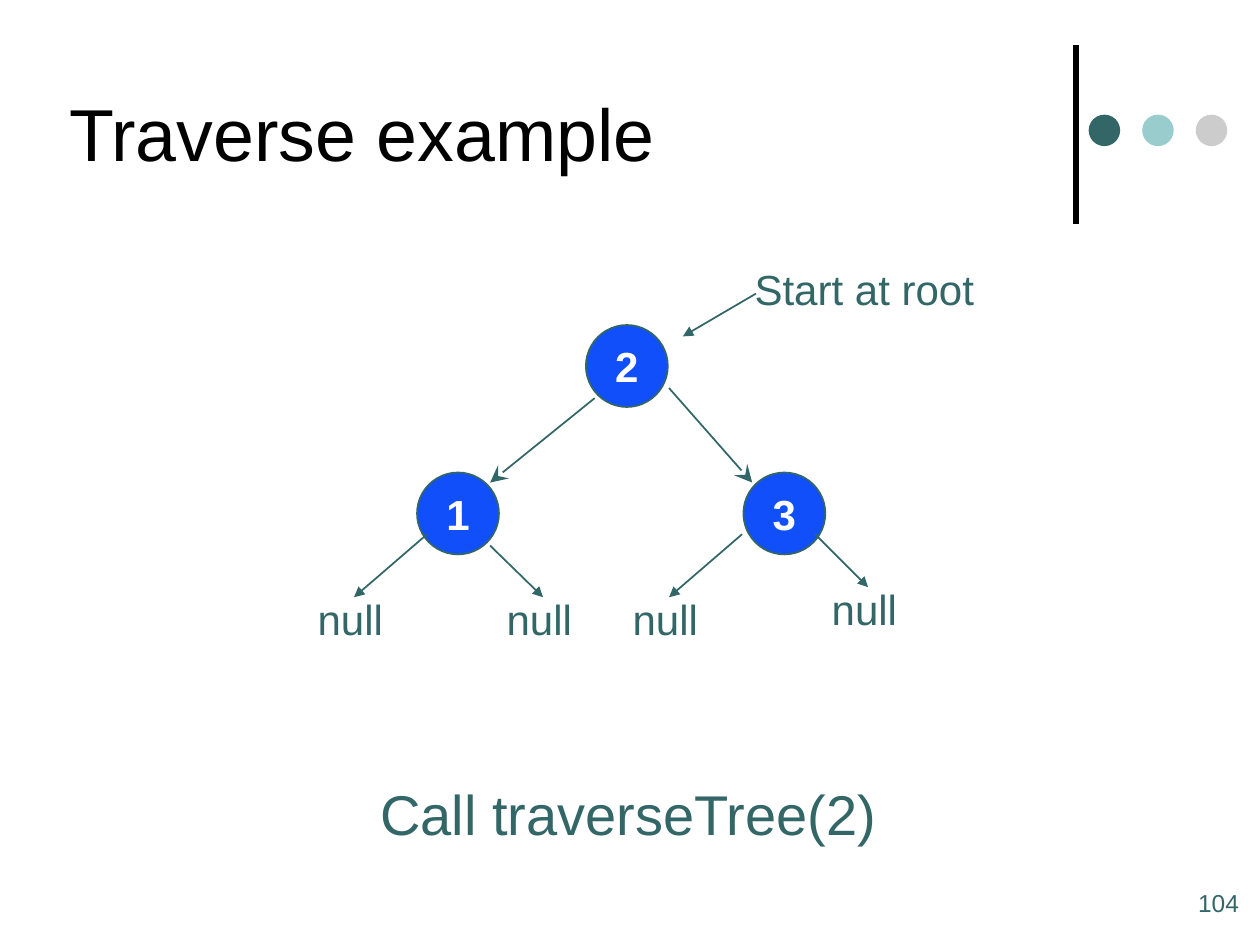
from typing import NamedTuple

from lxml.etree import SubElement
from pptx import Presentation
from pptx.dml.color import RGBColor
from pptx.enum.shapes import MSO_CONNECTOR, MSO_SHAPE
from pptx.enum.text import MSO_ANCHOR as Anchor, PP_ALIGN as Align
from pptx.oxml.ns import qn
from pptx.util import Inches, Pt


class Theme:
    font = "Arial"
    black = RGBColor(0x00, 0x00, 0x00)
    white = RGBColor(0xFF, 0xFF, 0xFF)
    teal = RGBColor(0x33, 0x66, 0x66)
    aqua = RGBColor(0x99, 0xCC, 0xCC)
    grey = RGBColor(0xCC, 0xCC, 0xCC)
    blue = RGBColor(0x11, 0x4F, 0xFB)
    title_size = 42
    call_size = 32
    label_size = 24
    number_size = 14


class Node(NamedTuple):
    key: str
    left: float
    top: float


class Arrow(NamedTuple):
    start: tuple[float, float]
    end: tuple[float, float]
    head: str = "triangle"
    head_size: str = "med"


class Label(NamedTuple):
    text: str
    left: float
    top: float
    width: float
    height: float = 0.5
    size: int = Theme.label_size
    color: RGBColor = Theme.teal
    align: Align = Align.CENTER
    anchor: Anchor = Anchor.TOP
    wrap: bool = False


NODE_SIZE = 0.65
DOT_SIZE = 0.25
DOT_STEP = 0.425
NODES = [Node("2", 4.65, 2.58), Node("1", 3.31, 3.75), Node("3", 5.9, 3.75)]
ARROWS = [
    Arrow((4.72, 3.16), (3.89, 3.83), "stealth", "lg"),
    Arrow((5.31, 3.08), (5.97, 3.83), "stealth", "lg"),
    Arrow((3.39, 4.24), (2.81, 4.74)),
    Arrow((3.89, 4.33), (4.31, 4.74)),
    Arrow((5.89, 4.24), (5.31, 4.74)),
    Arrow((6.47, 4.24), (6.89, 4.66)),
    Arrow((6, 2.33), (5.42, 2.67)),
]
NULL_POSITIONS = [(2.42, 4.66), (3.92, 4.66), (4.92, 4.66), (6.5, 4.58)]
LABELS = [
    Label("Traverse example", 0.45, 0.21, 7.67, 1.67, Theme.title_size,
          Theme.black, Align.LEFT, Anchor.MIDDLE, True),
    Label("Start at root", 5.89, 2.04, 1.94),
    *(Label("null", left, top, 0.72) for left, top in NULL_POSITIONS),
    Label("Call traverseTree(2)", 2.92, 6.14, 4.17, 0.64, Theme.call_size, align=Align.LEFT),
    Label("104", 9.41, 7, 0.59, size=Theme.number_size, align=Align.LEFT, wrap=True),
]


def write_text(shape, text: str, *, size: int, color: RGBColor, bold: bool = False,
               align: Align = Align.CENTER, anchor: Anchor = Anchor.MIDDLE,
               wrap: bool = False) -> None:
    frame = shape.text_frame
    frame.word_wrap = wrap
    frame.vertical_anchor = anchor
    paragraph = frame.paragraphs[0]
    paragraph.alignment = align
    run = paragraph.add_run()
    run.text = text
    run.font.name = Theme.font
    run.font.size = Pt(size)
    run.font.bold = bold
    run.font.color.rgb = color


def add_label(slide, label: Label) -> None:
    box = slide.shapes.add_textbox(Inches(label.left), Inches(label.top),
                                   Inches(label.width), Inches(label.height))
    write_text(box, label.text, size=label.size, color=label.color,
               align=label.align, anchor=label.anchor, wrap=label.wrap)


def add_circle(slide, left: float, top: float, size: float, fill: RGBColor):
    circle = slide.shapes.add_shape(MSO_SHAPE.OVAL, Inches(left), Inches(top),
                                    Inches(size), Inches(size))
    circle.shadow.inherit = False
    circle.fill.solid()
    circle.fill.fore_color.rgb = fill
    circle.line.fill.background()
    return circle


def add_node(slide, node: Node) -> None:
    circle = add_circle(slide, node.left, node.top, NODE_SIZE, Theme.blue)
    circle.line.color.rgb = Theme.teal
    circle.line.width = Pt(1)
    write_text(circle, node.key, size=Theme.label_size, color=Theme.white, bold=True)


def add_line(slide, start: tuple[float, float], end: tuple[float, float],
             color: RGBColor, width: float):
    line = slide.shapes.add_connector(MSO_CONNECTOR.STRAIGHT,
                                      *map(Inches, (*start, *end)))
    line.line.color.rgb = color
    line.line.width = Pt(width)
    SubElement(line._element.spPr, qn("a:effectLst"))
    return line


def add_arrow(slide, arrow: Arrow) -> None:
    line = add_line(slide, arrow.start, arrow.end, Theme.teal, 1)
    SubElement(line.line._get_or_add_ln(), qn("a:tailEnd"), type=arrow.head,
               w=arrow.head_size, len=arrow.head_size)


def add_corner_decoration(slide) -> None:
    add_line(slide, (8.54, 1.78), (8.54, 0.36), Theme.black, 3)
    for index, color in enumerate((Theme.teal, Theme.aqua, Theme.grey)):
        add_circle(slide, 8.64 + index * DOT_STEP, 0.91, DOT_SIZE, color)


def main() -> None:
    presentation = Presentation()
    presentation.slide_width = Inches(10)
    presentation.slide_height = Inches(7.5)
    slide = presentation.slides.add_slide(presentation.slide_layouts[6])
    add_corner_decoration(slide)
    for node in NODES:
        add_node(slide, node)
    for arrow in ARROWS:
        add_arrow(slide, arrow)
    for label in LABELS:
        add_label(slide, label)
    presentation.save("out.pptx")


if __name__ == "__main__":
    main()
